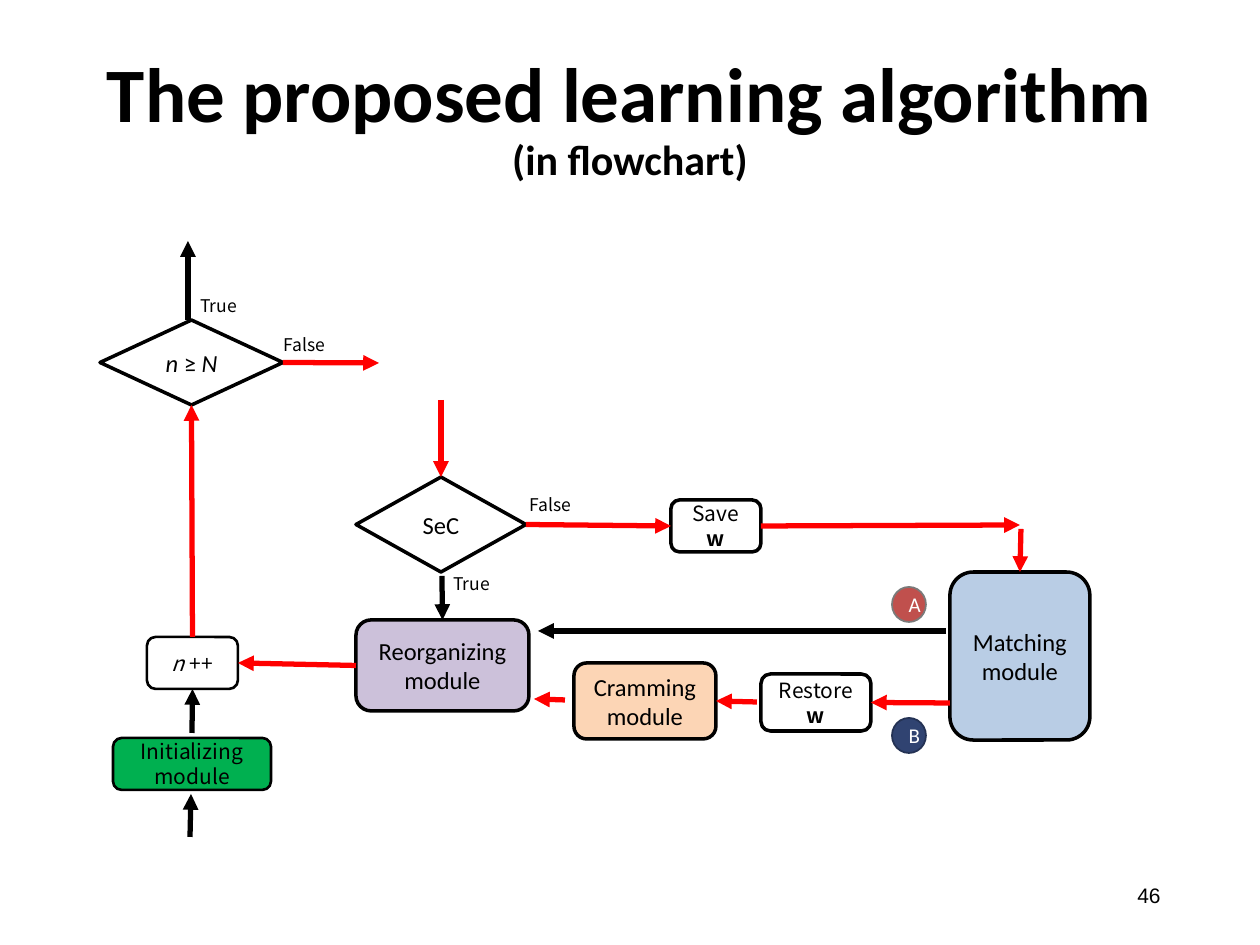
"""Build the flowchart slide of the proposed learning algorithm."""
from lxml import etree
from pptx import Presentation
from pptx import util as u
from pptx.dml.color import RGBColor
from pptx.enum import shapes, text
from pptx.oxml.ns import qn

PX = 914400 // 126
COLORS = {
    "black": "000000", "white": "FFFFFF", "red": "FF0000", "green": "00B050",
    "blue": "B9CDE5", "orange": "FCD5B5", "purple": "CCC1DA", "navy": "304371",
    "navy_edge": "243254", "brick": "C0504D", "gray": "7A7A7A",
}
SANS, CJK = "Calibri", "Noto Sans CJK TC"
ROUND = shapes.MSO_SHAPE.ROUNDED_RECTANGLE
DIAMOND = shapes.MSO_SHAPE.DIAMOND
OVAL = shapes.MSO_SHAPE.OVAL
TOP, LEFT, BOTTOM, RIGHT = range(4)

# name: kind, (left, top, width, height), fill, edge, edge pt, font, size, runs
NODES = {
    "count": (ROUND, (147, 637, 91, 52), "white", "black", 1.5, CJK, 12, [("n", "i"), (" ++", "")]),
    "limit": (DIAMOND, (100, 320, 183, 85), "white", "black", 2, SANS, 14,
              [("n ", "i"), ("≥ ", ""), ("N", "i")]),
    "sec": (DIAMOND, (356, 477, 170, 95), "white", "black", 2, SANS, 14, [("SeC", "")]),
    "save": (ROUND, (671, 500, 90, 52), "white", "black", 2, CJK, 12, [("Save ", ""), ("w", "b")]),
    "matching": (ROUND, (950, 572, 140, 168), "blue", "black", 2, SANS, 14, [("Matching module", "")]),
    "cramming": (ROUND, (574, 663, 142, 76), "orange", "black", 2, SANS, 14, [("Cramming module", "")]),
    "restore": (ROUND, (761, 674, 110, 57), "white", "black", 2, CJK, 12, [("Restore ", ""), ("w", "b")]),
    "reorganizing": (ROUND, (356, 620, 173, 91), "purple", "black", 2, SANS, 14,
                     [("Reorganizing module", "")]),
    "initializing": (ROUND, (113, 738, 158, 52), "green", "black", 1.5, CJK, 12,
                     [("Initializing module", "")]),
    "b": (OVAL, (892, 718, 34, 35), "navy", "navy_edge", 1, SANS, 12, [("B", "")]),
    "a": (OVAL, (892, 587, 34, 35), "brick", "gray", 1, SANS, 12, [("A", "")]),
}

# each end is a point or a (node name, side) pair
ARROWS = [
    ((442, 576), ("reorganizing", TOP), "black"),
    (("limit", RIGHT), (379, 363), "red"),
    (("count", TOP), ("limit", BOTTOM), "red"),
    (("sec", RIGHT), ("save", LEFT), "red"),
    (("save", RIGHT), (1020, 525), "red"),
    ((565, 700), (534, 699), "red"),
    ((192, 733), ("count", BOTTOM), "black"),
    (("reorganizing", LEFT), ("count", RIGHT), "red"),
    ((946, 631), (538, 631), "black"),
    ((757, 702), ("cramming", RIGHT), "red"),
    ((950, 703), ("restore", RIGHT), "red"),
    ((441, 400), ("sec", TOP), "red"),
    ((188, 320), (188, 241), "black"),
    ((1021, 529), ("matching", TOP), "red"),
    ((190, 837), (191, 794), "black"),
]

LABELS = [
    ("False", (517, 488, 67, 34)),
    ("True", (441, 567, 67, 34)),
    ("False", (271, 328, 74, 34)),
    ("True", (188, 289, 69, 34)),
]
TITLE = [("The proposed learning algorithm", 44), ("(in flowchart)", 24)]


def color(name):
    return RGBColor.from_string(COLORS[name])


def scaled(values):
    return [value * PX for value in values]


def style(para, font, size, ink="black", align=None, bold=None):
    para.alignment = align
    para.font.name, para.font.size, para.font.bold = font, u.Pt(size), bold
    para.font.color.rgb = color(ink)


def add_node(page, kind, area, fill, edge, weight, font, size, runs):
    node = page.shapes.add_shape(kind, *scaled(area))
    node.shadow.inherit = False
    node.fill.solid()
    node.fill.fore_color.rgb = color(fill)
    node.line.color.rgb = color(edge)
    node.line.width = u.Pt(weight)
    frame = node.text_frame
    frame.vertical_anchor = text.MSO_ANCHOR.MIDDLE
    frame.word_wrap = kind != DIAMOND
    if kind == DIAMOND:
        frame.margin_left = frame.margin_right = u.Inches(0.05)
    para = frame.paragraphs[0]
    style(para, font, size, "white" if kind == OVAL else "black", text.PP_ALIGN.CENTER)
    for words, look in runs:
        span = para.add_run()
        span.text = words
        if look == "i":
            span.font.italic = True
        elif look == "b":
            span.font.bold = True
    return node


def add_arrow(page, nodes, start, end, ink):
    points = [(0, 0) if isinstance(tip[0], str) else tip for tip in (start, end)]
    arrow = page.shapes.add_connector(
        shapes.MSO_CONNECTOR.STRAIGHT, *scaled(points[0] + points[1]))
    if isinstance(start[0], str):
        arrow.begin_connect(nodes[start[0]], start[1])
    if isinstance(end[0], str):
        arrow.end_connect(nodes[end[0]], end[1])
    arrow.line.color.rgb = color(ink)
    arrow.line.width = u.Pt(3)
    etree.SubElement(arrow.line._get_or_add_ln(), qn("a:tailEnd"), type="triangle")
    etree.SubElement(arrow._element.spPr, qn("a:effectLst"))


def add_text(page, area, wording):
    box = page.shapes.add_textbox(*scaled(area))
    box.text_frame.word_wrap = True
    box.text_frame.text = wording
    return box.text_frame.paragraphs


def main():
    deck = Presentation()
    deck.slide_width, deck.slide_height = u.Inches(10), u.Inches(7.5)
    page = deck.slides.add_slide(deck.slide_layouts[6])
    nodes = {name: add_node(page, *node) for name, node in NODES.items()}
    for arrow in ARROWS:
        add_arrow(page, nodes, *arrow)
    for wording, area in LABELS:
        style(add_text(page, area, wording)[0], CJK, 10)
    lines = add_text(page, (87, 50, 1086, 183), "\n".join(line for line, _ in TITLE))
    for para, (_, size) in zip(lines, TITLE):
        style(para, SANS, size, align=text.PP_ALIGN.CENTER, bold=True)
        para.line_spacing = 0.9
    number = add_text(page, (890, 876, 283, 50), "46")[0]
    style(number, "Arial", 12, align=text.PP_ALIGN.RIGHT)
    deck.save("out.pptx")


if __name__ == "__main__":
    main()
